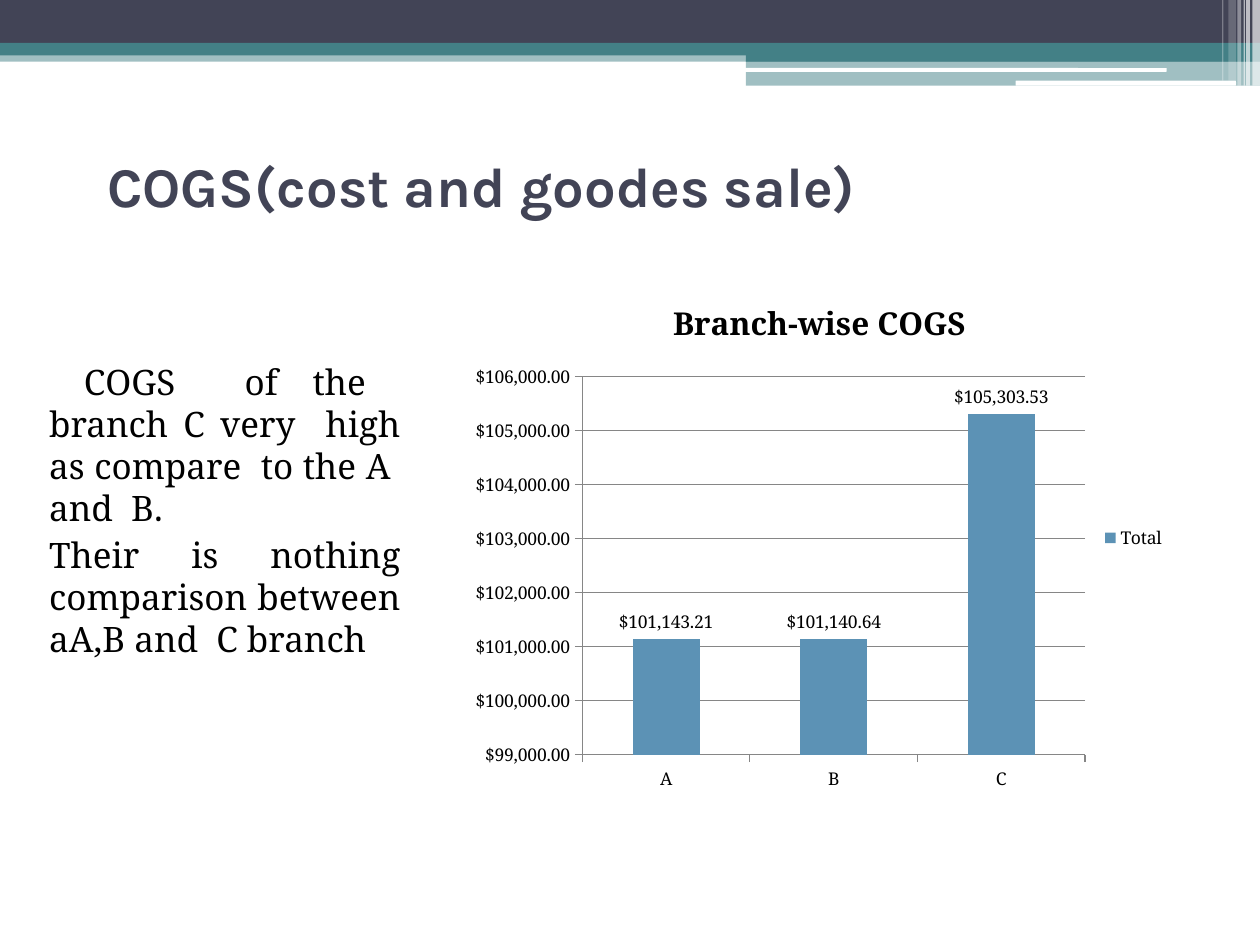
"""Build the branch-wise COGS slide with a column chart."""
from lxml import etree
from pptx import Presentation
from pptx.chart.data import CategoryChartData
from pptx.dml.color import RGBColor
from pptx.enum.chart import XL_CHART_TYPE, XL_LABEL_POSITION, XL_LEGEND_POSITION, XL_TICK_MARK
from pptx.enum.shapes import MSO_SHAPE
from pptx.enum.text import MSO_ANCHOR, MSO_AUTO_SIZE, PP_ALIGN
from pptx.oxml.ns import qn
from pptx.util import Inches, Pt

RECTANGLE, ROUNDED = MSO_SHAPE.RECTANGLE, MSO_SHAPE.ROUNDED_RECTANGLE
TOP, BOTTOM = MSO_ANCHOR.TOP, MSO_ANCHOR.BOTTOM
LEFT, JUSTIFY = PP_ALIGN.LEFT, PP_ALIGN.JUSTIFY
NAVY, TEAL, WHITE, BLACK = "424456", "438086", "FFFFFF", "000000"
BAR, GRID = "5C92B5", "868686"

TITLE = "COGS(cost and goodes sale)"
BODY = [
    " COGS  of the  branch C very  high as compare  to the A  and  B.",
    "Their is nothing comparison between aA,B and  C branch",
]
CHART_TITLE = "Branch-wise COGS"
SERIES_NAME = "Total"
COGS = {"A": 101143.21, "B": 101140.64, "C": 105303.53}
CURRENCY = "$#,##0.00"
VALUE_SCALE = {"minimum_scale": 99000, "maximum_scale": 106000, "major_unit": 1000}

BANDS = [
    (RECTANGLE, (0, 0.4, 10, 0.09), TEAL, 50),
    (RECTANGLE, (0, 0, 10, 0.34), NAVY, 100),
    (RECTANGLE, (0, 0.34, 10, 0.1), TEAL, 100),
    (RECTANGLE, (5.92, 0.39, 4.08, 0.1), TEAL, 100),
    (RECTANGLE, (5.92, 0.48, 4.08, 0.2), TEAL, 50),
    (ROUNDED, (5.91, 0.54, 3.35, 0.03), WHITE, 100),
    (ROUNDED, (8.06, 0.64, 1.75, 0.04), WHITE, 100),
]
STRIPES = [
    (9.94, 0.06, 0.68, 65),
    (9.89, 0.03, 0.68, 65),
    (9.87, 0.01, 0.68, 60),
    (9.82, 0.03, 0.68, 40),
    (9.75, 0.06, 0.64, 20),
    (9.7, 0.01, 0.64, 30),
]


def color(value):
    return RGBColor.from_string(value)


def set_all(target, values):
    for name, value in values.items():
        setattr(target, name, value)


def format_font(font, name, size, value, bold=False):
    set_all(font, {"name": name, "size": Pt(size), "bold": bold})
    font.color.rgb = color(value)


def add_band(slide, kind, box, value, opacity):
    shape = slide.shapes.add_shape(kind, *map(Inches, box))
    shape.shadow.inherit = False
    shape.line.fill.background()
    shape.fill.solid()
    shape.fill.fore_color.rgb = color(value)
    if opacity < 100:
        fill_color = shape.fill._xPr.find(".//" + qn("a:srgbClr"))
        etree.SubElement(fill_color, qn("a:alpha"), val=str(opacity * 1000))


def fill_placeholder(shape, box, lines, anchor, alignment, font):
    places = map(Inches, box)
    set_all(shape, dict(zip(("left", "top", "width", "height"), places)))
    frame = shape.text_frame
    frame.text = "\n".join(lines)
    set_all(frame, {"vertical_anchor": anchor, "word_wrap": True,
                    "auto_size": MSO_AUTO_SIZE.NONE})
    for paragraph in frame.paragraphs:
        paragraph.alignment = alignment
        format_font(paragraph.runs[0].font, *font)


def format_axis(axis):
    axis.major_tick_mark = XL_TICK_MARK.OUTSIDE
    axis.format.line.color.rgb = color(GRID)


def add_cogs_chart(slide):
    data = CategoryChartData(number_format=CURRENCY)
    data.categories = list(COGS)
    data.add_series(SERIES_NAME, list(COGS.values()))
    box = map(Inches, (3.66, 2.18, 5.69, 4.18))
    chart = slide.shapes.add_chart(XL_CHART_TYPE.COLUMN_CLUSTERED, *box, data).chart
    format_font(chart.font, "Noto Serif", 10, BLACK)

    chart.has_title = True
    chart.chart_title.include_in_layout = False
    title_frame = chart.chart_title.text_frame
    title_frame.text = CHART_TITLE
    format_font(title_frame.paragraphs[0].runs[0].font, "Noto Serif", 18, BLACK, True)

    chart.has_legend = True
    set_all(chart.legend, {"position": XL_LEGEND_POSITION.RIGHT, "include_in_layout": False})

    value_axis = chart.value_axis
    format_axis(chart.category_axis)
    format_axis(value_axis)
    set_all(value_axis, VALUE_SCALE)
    value_axis.major_gridlines.format.line.color.rgb = color(GRID)
    set_all(value_axis.tick_labels, {"number_format": CURRENCY, "number_format_is_linked": False})

    plot = chart.plots[0]
    set_all(plot, {"gap_width": 150, "vary_by_categories": False, "has_data_labels": True})
    set_all(plot.data_labels, {"show_value": True, "number_format": CURRENCY,
                               "number_format_is_linked": False,
                               "position": XL_LABEL_POSITION.OUTSIDE_END})
    fill = plot.series[0].format.fill
    fill.solid()
    fill.fore_color.rgb = color(BAR)


def main():
    presentation = Presentation()
    set_all(presentation, {"slide_width": Inches(10), "slide_height": Inches(7.5)})
    slide = presentation.slides.add_slide(presentation.slide_layouts[1])
    for band in BANDS:
        add_band(slide, *band)
    for left, width, height, opacity in STRIPES:
        add_band(slide, RECTANGLE, (left, 0, width, height), WHITE, opacity)

    title, body = slide.shapes.title, slide.placeholders[1]
    fill_placeholder(title, (0.75, 0.99, 7.1, 0.8), [TITLE], BOTTOM, LEFT,
                     ("Karla", 32, NAVY, True))
    fill_placeholder(body, (0.28, 2.81, 3, 1), BODY, TOP, JUSTIFY,
                     ("Noto Serif", 20, BLACK))
    for paragraph in body.text_frame.paragraphs:
        paragraph.space_before = Pt(3)
        properties = paragraph._p.get_or_add_pPr()
        properties.set("marL", str(Inches(0.01)))
        properties.set("indent", "0")
        etree.SubElement(properties, qn("a:buNone"))

    add_cogs_chart(slide)
    presentation.save("out.pptx")


main()
